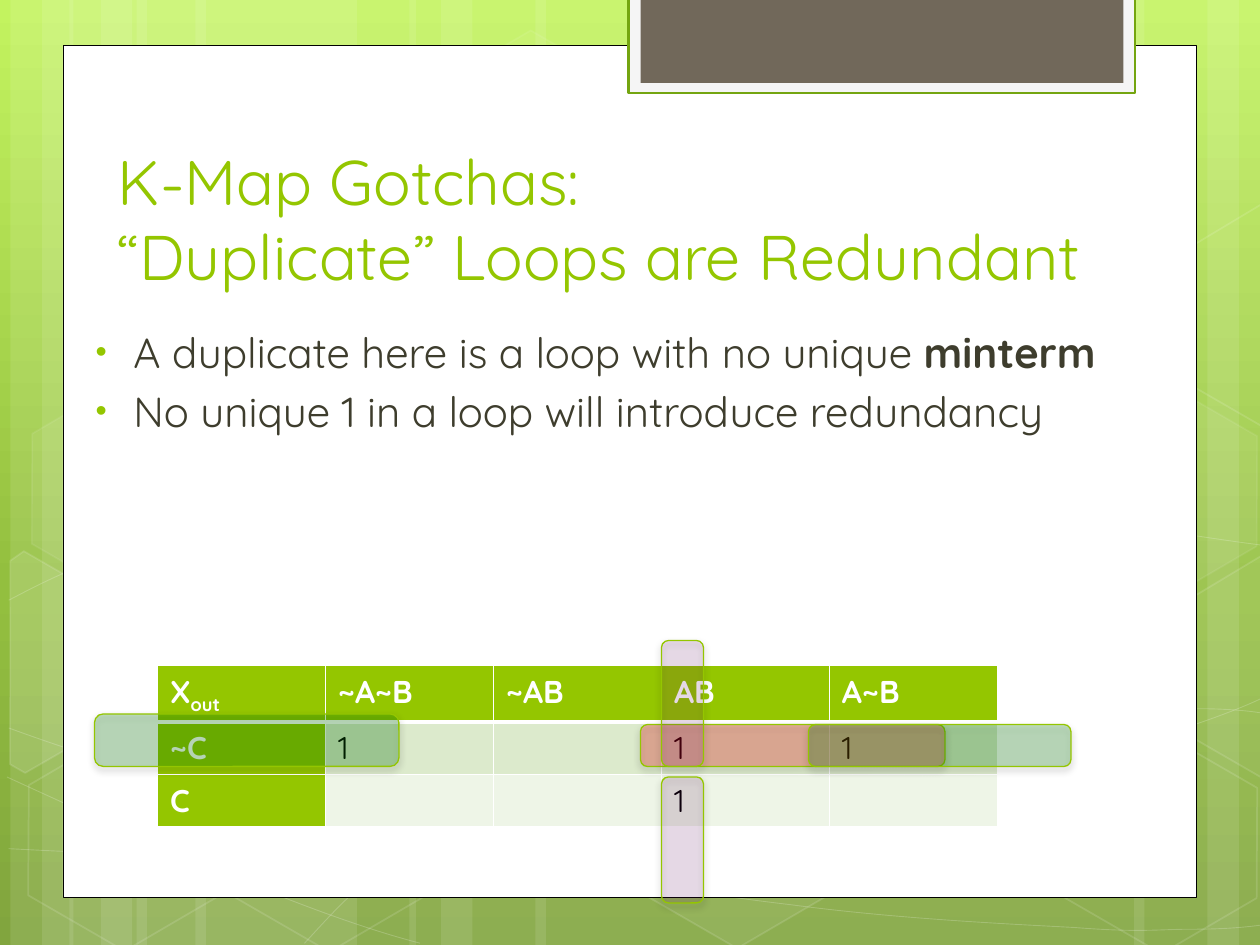
from copy import deepcopy
from lxml.etree import SubElement as Sub
from pptx import Presentation
from pptx.dml.color import RGBColor
from pptx.enum.shapes import MSO_SHAPE as Kind
from pptx.enum.text import MSO_ANCHOR as Anchor, MSO_AUTO_SIZE as Auto, PP_ALIGN as Align
from pptx.oxml.ns import qn
from pptx.util import Pt

FONT, GREEN, WHITE, DARK = "Quicksand", "94C600", "FFFFFF", "3E3D2D"
TITLE = "K-Map Gotchas:\v“Duplicate” Loops are Redundant"
BODY = [
    [("A duplicate here is a loop with no unique ", False), ("minterm", True)],
    [("No unique 1 in a loop will introduce redundancy", False)],
]
MAP = [
    ["X", "~A~B", "~AB", "AB", "A~B"],
    ["~C", "1", "", "1", "1"],
    ["C", "", "", "1", ""],
]
TINTS = [GREEN, "DCEACC", "EEF5E7"]
LOOPS = [
    ((366, 414, 174, 24), "FF0000", 24),
    ((462, 414, 150, 24), "008000", 24),
    ((54, 408, 174, 30), "008000", 24),
    ((378, 366, 24, 72), "660066", 12),
    ((378, 444, 24, 72), "660066", 12),
]
GRAD = [(0, "C3F35F"), (0.62, "93BF3F"), (1, "81A53E")]
BARS = [
    (78, 126), (6, 36), (24, 60), (111.6, 126), (39.6, 36), (57.6, 60),
    (528, 126), (690, 36), (648, 60), (306, 222), (234, 36), (252, 60),
]
WAVES = [
    [(5, 485), (44, 487), (83, 489), (137, 488), (191, 487), (258, 486), (330, 479),
     (402, 472), (504, 458), (570, 444), (636, 431), (703, 409), (725, 397)],
    [(5, 343), (26, 332), (47, 321), (87, 310), (128, 299), (186, 285), (250, 279),
     (314, 273), (392, 273), (471, 279), (550, 284), (682, 307), (725, 312)],
    [(4, 444), (91, 484), (178, 523), (240, 539)],
    [(5, 416), (27, 424), (50, 432), (92, 444), (134, 454), (197, 472), (257, 485),
     (317, 497), (392, 510), (452, 517), (512, 525), (576, 528), (614, 530),
     (652, 533), (662, 531), (680, 531), (699, 531), (712, 530), (725, 528)],
    [(174, 539), (187, 525), (200, 510), (217, 498), (235, 485), (259, 470), (279, 460),
     (300, 450), (312, 446), (338, 438), (364, 431), (413, 421), (438, 416),
     (464, 411), (467, 411), (490, 410), (512, 408), (547, 405), (572, 405),
     (597, 404), (638, 405), (638, 405), (654, 405), (670, 405), (686, 405),
     (699, 405), (711, 406), (718, 407), (724, 408), (722, 407), (724, 408)],
]
HEXES = [
    (240.5, 26, 4, 8), (358, 424, 6, 12), (8, 425.5, 0, 12), (10, 224.6, 7, 8),
    (125, 426, 0, 12), (542, 326, 10, 12), (600.5, 427, 0, 12), (600.5, 226, 7, 8),
]
LEFT = [(0, 8.6), (4, 0), (68, 0), (99.4, 55), (68, 109.4), (58, 109.4)]
RIGHT = [(0, 55), (30.5, 0), (37.3, 0), (97.9, 104), (94, 109.4), (31, 109.4)]
CUTS = [(-23.8, 330.5, LEFT, 10), (660.2, 319.7, RIGHT, 4), (660.2, 118.8, RIGHT, 0)]
PANELS = [
    ((36, 26, 648, 487), WHITE, "000000", 0.5),
    ((359.1, -1.4, 289.5, 54.8), "F5F5F5", "74A510", 1.25),
    ((366, -1.4, 276, 48.8), "71685A", None, 0),
]


def rgb(code):
    return RGBColor.from_string(code)


def fade(shape, where, alpha):
    for tone in shape.element.xpath(where):
        Sub(tone, qn("a:alpha"), val=str(alpha * 1000))


def paint(shape, fill=None, alpha=100, line=None, width=0, clear=100):
    shape.shadow.inherit = False
    if fill and alpha:
        shape.fill.solid()
        shape.fill.fore_color.rgb = rgb(fill)
        fade(shape, "./p:spPr/a:solidFill/a:srgbClr", alpha)
    else:
        shape.fill.background()
    if line:
        shape.line.color.rgb = rgb(line)
        shape.line.width = Pt(width)
        fade(shape, "./p:spPr/a:ln//a:srgbClr", clear)
    else:
        shape.line.fill.background()


def add(kind, box, **look):
    shape = shapes.add_shape(kind, *map(Pt, box))
    paint(shape, **look)
    return shape


def trace(points, close, **look):
    dots = [(Pt(x), Pt(y)) for x, y in points]
    pen = shapes.build_freeform(*dots[0])
    pen.add_line_segments(dots[1:], close=close)
    shape = pen.convert_to_shape()
    paint(shape, **look)
    return shape


def bend(shape):
    track = shape.element.xpath(".//a:path")[0]
    legs = track.findall(qn("a:lnTo"))
    for i in range(0, len(legs), 3):
        curve = Sub(track, qn("a:cubicBezTo"))
        for leg in legs[i:i + 3]:
            curve.append(leg[0])
            track.remove(leg)


def write(para, text, size, color, bold=False):
    run = para.add_run()
    run.text = text
    for key, val in {"name": FONT, "size": Pt(size), "bold": bold}.items():
        setattr(run.font, key, val)
    run.font.color.rgb = rgb(color)
    return run


def place(holder, box):
    for key, val in zip(("left", "top", "width", "height"), box):
        setattr(holder, key, Pt(val))
    shapes.element.append(holder.element)
    frame = holder.text_frame
    frame.auto_size = Auto.NONE
    return frame


def edge(cell, side, width):
    line = Sub(cell.get_or_add_tcPr(), qn("a:" + side), w=str(Pt(width)))
    Sub(Sub(line, qn("a:solidFill")), qn("a:srgbClr"), val=WHITE)


deck = Presentation()
deck.slide_width, deck.slide_height = Pt(720), Pt(540)
slide = deck.slides.add_slide(deck.slide_layouts[1])
shapes = slide.shapes

back = slide.background.fill
back.gradient()
back.gradient_angle = 270
last = slide.element.xpath(".//a:gs")[-1]
last.addprevious(deepcopy(last))
for stop, (pos, code) in zip(back.gradient_stops, GRAD):
    stop.position = pos
    stop.color.rgb = rgb(code)

for x, wide in BARS:
    add(Kind.RECTANGLE, (x, 0, wide, 540), fill=WHITE, alpha=10)
for wave in WAVES:
    bend(trace(wave, False, line=WHITE, width=0.5, clear=20))
for x, y, alpha, clear in HEXES:
    hexa = add(Kind.HEXAGON, (x, y, 126, 109.4), fill=WHITE, alpha=alpha,
               line=WHITE, width=1, clear=clear)
    hexa.rotation = 30
    hexa.adjustments[0] = 0.285
for x, y, points, alpha in CUTS:
    cut = trace([(x + dx, y + dy) for dx, dy in points], True,
                fill=WHITE, alpha=alpha, line=WHITE, width=1, clear=12)
    cut.rotation = 30
for box, fill, line, width in PANELS:
    add(Kind.RECTANGLE, box, fill=fill, line=line, width=width)

head = place(shapes.title, (60, 81.2, 614, 90))
head.vertical_anchor = Anchor.BOTTOM
head.text = TITLE
para = head.paragraphs[0]
para.alignment = Align.LEFT
for run in para.runs:
    for key, val in {"name": FONT, "size": Pt(36)}.items():
        setattr(run.font, key, val)
    run.font.color.rgb = rgb(GREEN)

body = place(slide.placeholders[1], (41.6, 183, 684, 276.5))
for i, item in enumerate(BODY):
    para = body.add_paragraph() if i else body.paragraphs[0]
    for text, bold in item:
        write(para, text, 24, DARK, bold)
    props = para._p.get_or_add_pPr()
    props.set("marL", str(Pt(27.4)))
    props.set("indent", str(Pt(-21.6)))
    Sub(Sub(props, qn("a:buClr")), qn("a:srgbClr"), val=GREEN)
    Sub(props, qn("a:buSzPct"), val="76000")
    Sub(props, qn("a:buFont"), typeface="Arial")
    Sub(props, qn("a:buChar"), char="•")

grid = shapes.add_table(3, 5, Pt(90), Pt(380.3), Pt(480), Pt(87.6)).table
for r, row in enumerate(MAP):
    for c, text in enumerate(row):
        cell = grid.cell(r, c)
        label = r == 0 or c == 0
        for side in ("lnL", "lnR", "lnT", "lnB"):
            thick = (r, side) in ((0, "lnB"), (1, "lnT"))
            edge(cell._tc, side, 3 if thick else 1)
        cell.fill.solid()
        cell.fill.fore_color.rgb = rgb(GREEN if label else TINTS[r])
        para = cell.text_frame.paragraphs[0]
        para.font.size = Pt(18)
        if text:
            write(para, text, 18, WHITE if label else "000000", label)
sub = write(grid.cell(0, 0).text_frame.paragraphs[0], "out", 18, WHITE, True)
sub.font._element.set("baseline", "-25000")

for box, fill, alpha in LOOPS:
    loop = add(Kind.ROUNDED_RECTANGLE, box, fill=fill, alpha=alpha, line=GREEN, width=0.75)
    glow = Sub(loop.element.spPr.find(qn("a:effectLst")), qn("a:outerShdw"),
               blurRad=str(Pt(4)), dist=str(Pt(2)), dir="5400000", rotWithShape="0")
    Sub(Sub(glow, qn("a:srgbClr"), val="000000"), qn("a:alpha"), val="28000")

deck.save("out.pptx")
